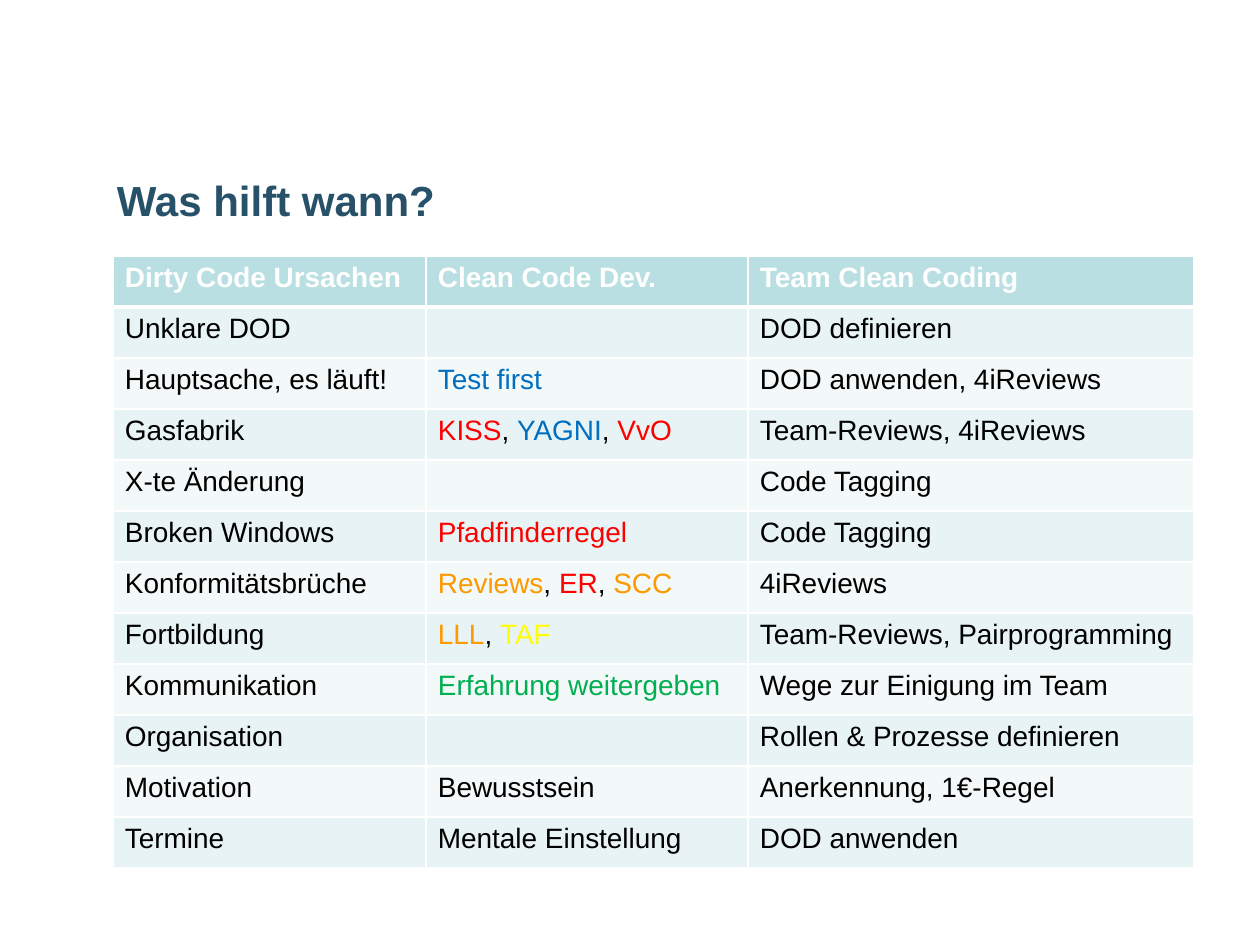
from dataclasses import dataclass

from lxml.etree import SubElement
from pptx import Presentation
from pptx.dml.color import RGBColor as Rgb
from pptx.enum.text import MSO_ANCHOR as Anchor
from pptx.oxml.ns import qn
from pptx.util import Emu, Pt

PX = 7257.6


@dataclass(frozen=True)
class Theme:
    font: str = "Arial"
    title_size: int = 24
    table_size: int = 16
    title: str = "275169"
    header_fill: str = "BADFE2"
    bands: tuple = ("E7F3F4", "F3F8F9")
    white: str = "FFFFFF"
    black: str = "000000"
    red: str = "FF0000"
    orange: str = "FF9900"
    yellow: str = "FFFF00"
    green: str = "00AF50"
    blue: str = "006FC0"
    thin: int = 1
    thick: int = 3


THEME = Theme()

TITLE = "Was hilft wann?"
COLUMN_WIDTHS = (313, 322, 446)
ROW_HEIGHT = 51
HEADER = ("Dirty Code Ursachen", "Clean Code Dev.", "Team Clean Coding")
ROWS = (
    ("Unklare DOD", [], "DOD definieren"),
    ("Hauptsache, es läuft!", [("Test first", THEME.blue)],
     "DOD anwenden, 4iReviews"),
    ("Gasfabrik",
     [("KISS", THEME.red), ("YAGNI", THEME.blue), ("VvO", THEME.red)],
     "Team-Reviews, 4iReviews"),
    ("X-te Änderung", [], "Code Tagging"),
    ("Broken Windows", [("Pfadfinderregel", THEME.red)], "Code Tagging"),
    ("Konformitätsbrüche",
     [("Reviews", THEME.orange), ("ER", THEME.red), ("SCC", THEME.orange)],
     "4iReviews"),
    ("Fortbildung", [("LLL", THEME.orange), ("TAF", THEME.yellow)],
     "Team-Reviews, Pairprogramming"),
    ("Kommunikation", [("Erfahrung weitergeben", THEME.green)],
     "Wege zur Einigung im Team"),
    ("Organisation", [], "Rollen & Prozesse definieren"),
    ("Motivation", [("Bewusstsein", THEME.black)], "Anerkennung, 1€-Regel"),
    ("Termine", [("Mentale Einstellung", THEME.black)], "DOD anwenden"),
)


def px(length):
    return Emu(round(length * PX))


def set_values(target, values):
    for name, value in values.items():
        setattr(target, name, value)


def add_run(paragraph, text, color, size, bold=False):
    run = paragraph.add_run()
    run.text = text
    set_values(run.font, {"name": THEME.font, "size": Pt(size), "bold": bold})
    run.font.color.rgb = Rgb.from_string(color)


def add_title(slide):
    frame = slide.shapes.add_textbox(px(115), px(171), px(324), px(54)).text_frame
    set_values(frame, {
        "margin_left": px(2), "margin_right": 0,
        "margin_top": 0, "margin_bottom": 0,
        "word_wrap": True, "vertical_anchor": Anchor.BOTTOM,
    })
    add_run(frame.paragraphs[0], TITLE, THEME.title, THEME.title_size, True)


def set_borders(cell, widths):
    properties = cell._tc.get_or_add_tcPr()
    for index, (side, width) in enumerate(widths.items()):
        line = SubElement(properties, qn(f"a:ln{side}"), w=str(Pt(width)))
        fill = SubElement(line, qn("a:solidFill"))
        SubElement(fill, qn("a:srgbClr"), val=THEME.white)
        properties.insert(index, line)


def fill_cell(cell, parts, fill, top=THEME.thin, bottom=THEME.thin, bold=False):
    set_values(cell, {
        "margin_left": px(12), "margin_right": 0,
        "margin_top": px(6), "margin_bottom": 0,
        "vertical_anchor": Anchor.TOP,
    })
    cell.fill.solid()
    cell.fill.fore_color.rgb = Rgb.from_string(fill)
    set_borders(cell, {"L": THEME.thin, "R": THEME.thin, "T": top, "B": bottom})
    paragraph = cell.text_frame.paragraphs[0]
    for index, (text, color) in enumerate(parts):
        if index:
            add_run(paragraph, ", ", THEME.black, THEME.table_size)
        add_run(paragraph, text, color, THEME.table_size, bold)


def add_remedy_table(slide):
    row_count = len(ROWS) + 1
    table = slide.shapes.add_table(
        row_count, len(HEADER), px(113), px(256),
        px(sum(COLUMN_WIDTHS)), px(ROW_HEIGHT * row_count)).table
    for column, width in zip(table.columns, COLUMN_WIDTHS):
        column.width = px(width)
    for row in table.rows:
        row.height = px(ROW_HEIGHT)
    for index, heading in enumerate(HEADER):
        fill_cell(table.cell(0, index), [(heading, THEME.white)],
                  THEME.header_fill, bottom=THEME.thick, bold=True)
    for row_index, (cause, practices, remedy) in enumerate(ROWS):
        top = THEME.thin if row_index else THEME.thick
        contents = ([(cause, THEME.black)], practices, [(remedy, THEME.black)])
        for column_index, parts in enumerate(contents):
            fill_cell(table.cell(row_index + 1, column_index), parts,
                      THEME.bands[row_index % 2], top=top)


def main():
    presentation = Presentation()
    set_values(presentation, {"slide_width": px(1260), "slide_height": px(945)})
    slide = presentation.slides.add_slide(presentation.slide_layouts[6])
    add_title(slide)
    add_remedy_table(slide)
    presentation.save("out.pptx")


if __name__ == "__main__":
    main()
